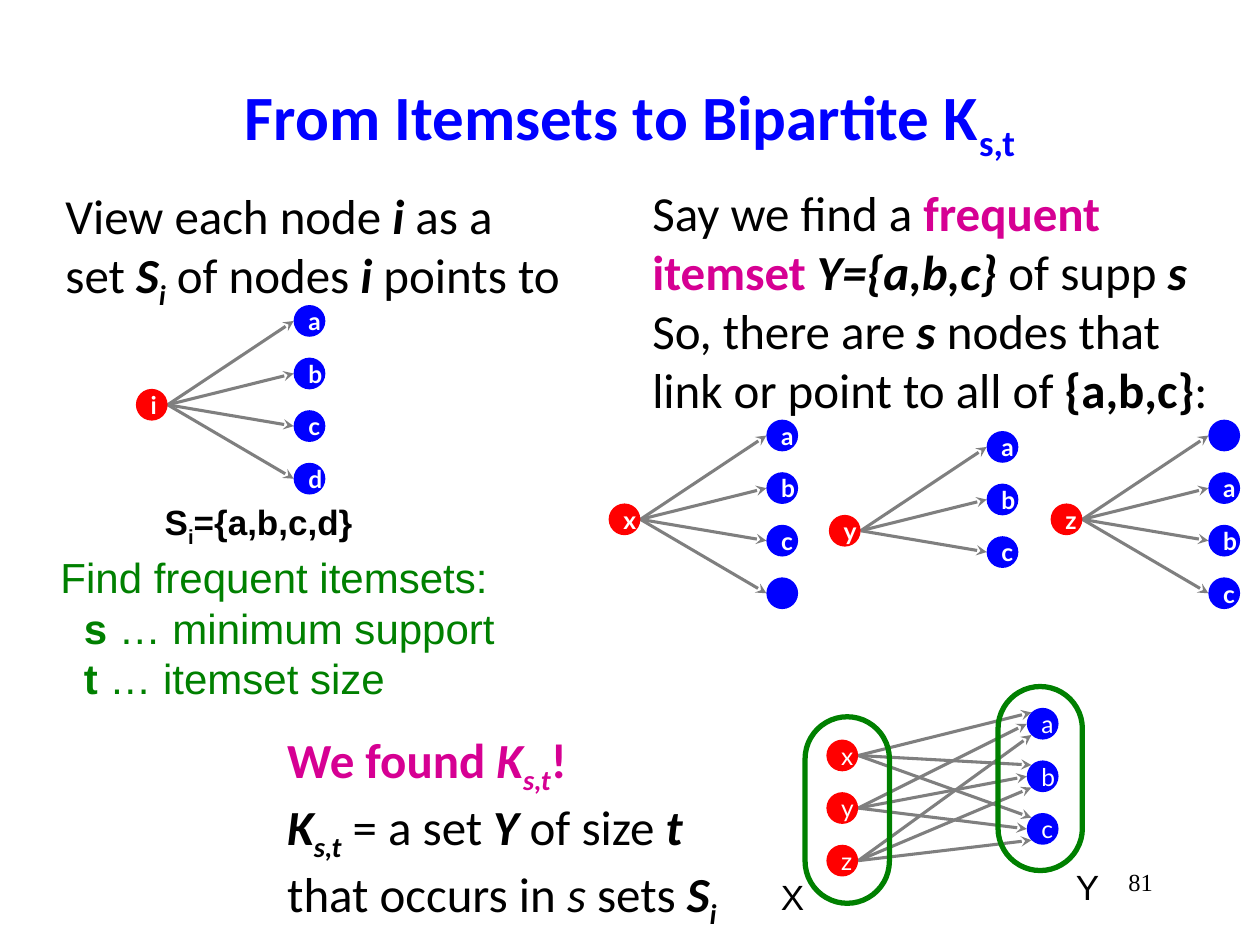
from lxml import etree
from pptx import Presentation
from pptx.dml.color import RGBColor
from pptx.enum.shapes import MSO_CONNECTOR, MSO_SHAPE
from pptx.enum.text import MSO_ANCHOR, MSO_AUTO_SIZE, PP_ALIGN
from pptx.oxml.ns import qn
from pptx.util import Cm, Pt

STRAIGHT = MSO_CONNECTOR.STRAIGHT
OVAL = MSO_SHAPE.OVAL
ROUNDED = MSO_SHAPE.ROUNDED_RECTANGLE
MIDDLE = MSO_ANCHOR.MIDDLE
GROW = MSO_AUTO_SIZE.SHAPE_TO_FIT_TEXT
LEFT, CENTER, RIGHT = PP_ALIGN.LEFT, PP_ALIGN.CENTER, PP_ALIGN.RIGHT

BLUE, RED, GREEN, PINK = "0000FF", "FF0000", "008000", "D60093"
GRAY, BLACK, WHITE = "7F7F7F", "000000", "FFFFFF"

NODE = 0.64
PITCH = 1.06
FAN_WIDTH = 3.18
ROOT_DROP = 1.69


def rgb(value):
    return RGBColor.from_string(value)


def style_paragraph(paragraph, size, font, color, bold=False, align=LEFT):
    paragraph.alignment = align
    paragraph.font.size = Pt(size)
    paragraph.font.name = font
    paragraph.font.bold = bold
    paragraph.font.color.rgb = rgb(color)


def add_runs(paragraph, runs):
    for text, marks, *color in runs:
        for number, line in enumerate(text.split("\n")):
            if number:
                paragraph.add_line_break()
            if not line:
                continue
            run = paragraph.add_run()
            run.text = line
            if "b" in marks:
                run.font.bold = True
            if "i" in marks:
                run.font.italic = True
            if "_" in marks:
                run._r.get_or_add_rPr().set("baseline", "-25000")
            if color:
                run.font.color.rgb = rgb(color[0])


def add_text(slide, box, paragraphs, size, font, color=BLACK, wrap=True, align=LEFT, indent=0):
    frame = slide.shapes.add_textbox(*map(Cm, box)).text_frame
    frame.word_wrap = wrap
    frame.auto_size = GROW
    for number, runs in enumerate(paragraphs):
        paragraph = frame.add_paragraph() if number else frame.paragraphs[0]
        if number and indent:
            paragraph._p.get_or_add_pPr().set("marL", str(Cm(indent)))
        style_paragraph(paragraph, size, font, color, align=align)
        add_runs(paragraph, runs)


def add_arrow(group, start, end):
    arrow = group.shapes.add_connector(STRAIGHT, *map(Cm, (*start, *end)))
    arrow.line.color.rgb = rgb(GRAY)
    arrow.line.width = Pt(1.75)
    etree.SubElement(arrow.line._get_or_add_ln(), qn("a:tailEnd"), type="stealth")
    etree.SubElement(arrow._element.spPr, qn("a:effectLst"))


def add_node(group, left, top, label, color, bold=True):
    node = group.shapes.add_shape(OVAL, *map(Cm, (left, top, NODE, NODE)))
    node.shadow.inherit = False
    node.fill.solid()
    node.fill.fore_color.rgb = rgb(color)
    node.line.fill.background()
    if label:
        node.text_frame.vertical_anchor = MIDDLE
        paragraph = node.text_frame.paragraphs[0]
        paragraph.text = label
        style_paragraph(paragraph, 14, "Lato", WHITE, bold, CENTER)


def add_fan(slide, left, top, root, leaves):
    group = slide.shapes.add_group_shape()
    root_top = top + ROOT_DROP
    leaf_left = left + FAN_WIDTH
    tops = [top + index * PITCH for index in range(len(leaves))]
    for leaf_top in tops:
        add_arrow(group, (left + NODE, root_top + NODE / 2), (leaf_left, leaf_top + NODE / 2))
    add_node(group, left, root_top, root, RED)
    for leaf, leaf_top in zip(leaves, tops):
        add_node(group, leaf_left, leaf_top, leaf, BLUE)


def add_ring(slide, box):
    ring = slide.shapes.add_shape(ROUNDED, *map(Cm, box))
    ring.shadow.inherit = False
    ring.adjustments[0] = 0.5
    ring.fill.background()
    ring.line.color.rgb = rgb(GREEN)
    ring.line.width = Pt(3)


def add_bipartite(slide, left, top):
    group = slide.shapes.add_group_shape()
    source_left, source_top = left + 1.17, top + 1.07
    target_left, target_top = left + 5.21, top + 0.43
    diagonal = 0.71 * NODE / 2
    for source in range(3):
        start = (source_left + NODE, source_top + source * PITCH + NODE / 2)
        side = source - 1
        end_left = target_left + abs(side) * (NODE / 2 - diagonal)
        for target in range(3):
            end_top = target_top + target * PITCH + NODE / 2 + side * diagonal
            add_arrow(group, start, (end_left, end_top))
    for index, label in enumerate("xyz"):
        add_node(group, source_left, source_top + index * PITCH, label, RED, False)
    for index, label in enumerate("abc"):
        add_node(group, target_left, target_top + index * PITCH, label, BLUE, False)
    add_ring(slide, (left + 0.74, top + 0.61, 1.7, 3.76))
    add_ring(slide, (left + 4.63, top, 1.7, 3.71))
    add_text(slide, (left, top + 3.69, 0.99, 1.12), [[("X", "")]], 20, "Arial", wrap=False)
    add_text(slide, (left + 5.95, top + 3.48, 0.99, 1.12), [[("Y", "")]], 20, "Arial", wrap=False)


def add_title(slide, box):
    title = slide.shapes.title
    title.left, title.top, title.width, title.height = map(Cm, box)
    title.text_frame.vertical_anchor = MIDDLE
    paragraph = title.text_frame.paragraphs[0]
    style_paragraph(paragraph, 36, "Calibri", BLUE, True, CENTER)
    add_runs(paragraph, [("From Itemsets to Bipartite K", ""), ("s,t", "_")])


def add_left_column(slide, left, top):
    add_text(slide, (left + 0.1, top, 10.57, 2.64), [[
        ("View each node ", ""), ("i", "bi"), (" as a\nset ", ""), ("S", "bi"), ("i", "bi_"),
        (" of nodes ", ""), ("i", "bi"), (" points to", "")]], 28, "Calibri")
    add_fan(slide, left + 1.77, top + 2.54, "i", "abcd")
    add_text(slide, (left + 2.1, top + 6.35, 4.34, 1.12), [[
        ("S", "b"), ("i", "b_"), ("={a,b,c,d}", "b")]], 20, "Arial", wrap=False)
    add_text(slide, (left, top + 7.39, 9.3, 3.33), [
        [("Find frequent itemsets:", "")],
        [("s", "b"), (" … minimum support", "")],
        [("t", "b"), (" … itemset size", "")]],
        24, "Arial", GREEN, wrap=False, indent=0.47)


def add_right_column(slide, left, top):
    add_text(slide, (left, top, 12.09, 5.05), [[
        ("Say we find a ", ""), ("frequent itemset ", "b", PINK), ("Y={a,b,c}", "bi"),
        (" of supp ", ""), ("s\n", "bi"), ("So, there are ", ""), ("s", "bi"),
        (" nodes that link or point to all of ", ""), ("{a,b,c}", "b"), (":", "")]],
        28, "Calibri")
    add_fan(slide, left - 0.63, top + 4.9, "x", ["a", "b", "c", ""])
    add_fan(slide, left + 3.81, top + 5.13, "y", "abc")
    add_fan(slide, left + 8.28, top + 4.9, "z", ["", "a", "b", "c"])


def add_conclusion(slide, box):
    add_text(slide, box, [
        [("We found ", "b", PINK), ("K", "bi", PINK), ("s,t", "bi_", PINK), ("!", "b", PINK)],
        [("K", "bi"), ("s,t", "bi_"), (" = a set ", ""), ("Y", "bi"), (" of size ", ""),
         ("t\n", "bi"), ("that occurs in ", ""), ("s", "i"), (" sets ", ""),
         ("S", "bi"), ("i", "bi_")]], 28, "Calibri")


def main():
    presentation = Presentation()
    presentation.slide_width, presentation.slide_height = Cm(25.4), Cm(19.05)
    slide = presentation.slides.add_slide(presentation.slide_layouts[5])
    add_title(slide, (1.9, 0.84, 21.6, 3.18))
    add_left_column(slide, 0.97, 3.61)
    add_right_column(slide, 12.9, 3.56)
    add_bipartite(slide, 15.49, 13.84)
    add_conclusion(slide, (5.54, 14.58, 9.27, 3.84))
    add_text(slide, (18.2, 17.36, 5.29, 1.27), [[("81", "")]], 14, "Times New Roman", align=RIGHT)
    presentation.save("out.pptx")


if __name__ == "__main__":
    main()
